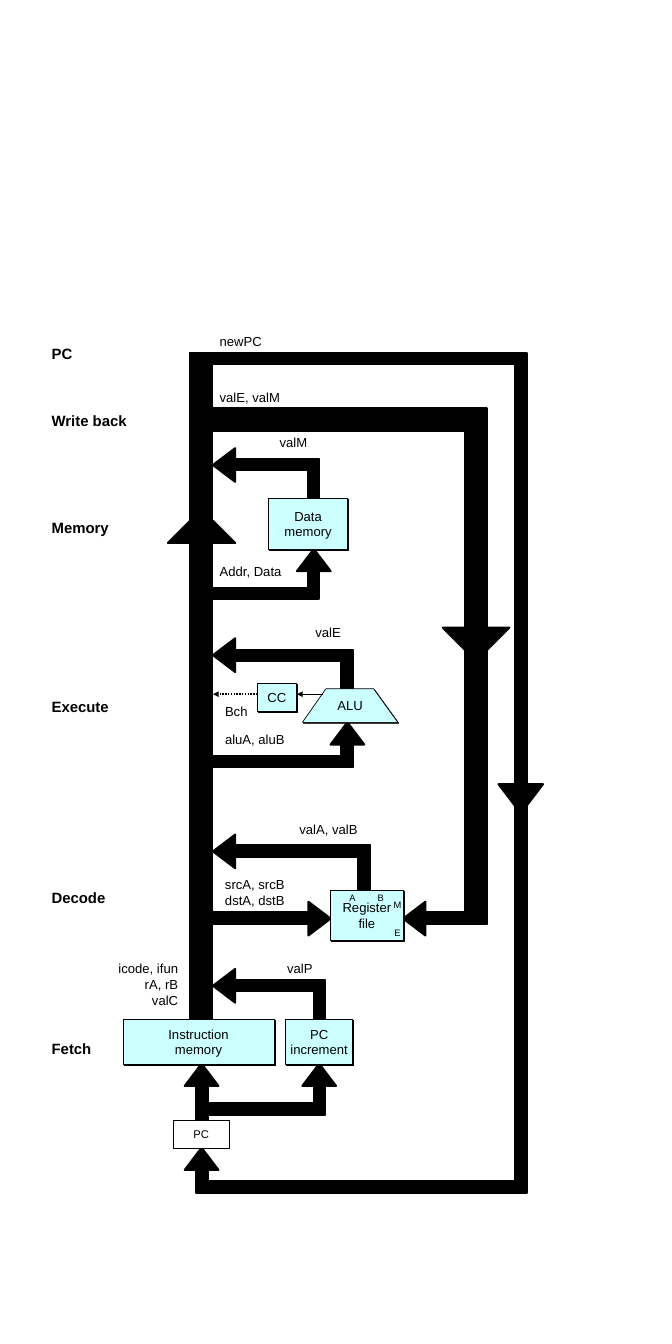
from lxml import etree
from pptx import Presentation
from pptx import util as u
from pptx.dml.color import RGBColor
from pptx.enum import dml, shapes, text
from pptx.oxml.ns import qn

Inches = u.Inches
COLORS = {"black": "000000", "unit": "CCFFFF", "white": "FFFFFF"}
LEFT, CENTER, RIGHT = text.PP_ALIGN.LEFT, text.PP_ALIGN.CENTER, text.PP_ALIGN.RIGHT
HEAD, BUS, WIRE = 0.33, 0.33, 0.17

deck = Presentation()
deck.slide_width, deck.slide_height = Inches(10), Inches(20)
slide = deck.slides.add_slide(deck.slide_layouts[6])
canvas = slide.shapes


def paint(part, fill="black", width=2.25, shadow=False):
    part.shadow.inherit = False
    part.fill.solid()
    part.fill.fore_color.rgb = RGBColor.from_string(COLORS[fill])
    part.line.color.rgb = RGBColor.from_string(COLORS["black"])
    part.line.width = u.Pt(width)
    if shadow:
        effects = part._element.spPr.find(qn("a:effectLst"))
        drop = etree.SubElement(effects, qn("a:outerShdw"), dist="17961",
                                dir="2700000", algn="ctr", rotWithShape="0")
        etree.SubElement(drop, qn("a:srgbClr"), val=COLORS["black"])


def write(part, content, size=14, bold=False, align=LEFT, wrap=True,
          anchor=text.MSO_ANCHOR.TOP, grow=True):
    frame = part.text_frame
    frame.text = content
    frame.word_wrap = wrap
    frame.vertical_anchor = anchor
    if grow:
        frame.auto_size = text.MSO_AUTO_SIZE.SHAPE_TO_FIT_TEXT
    for line in frame.paragraphs:
        line.alignment = align
        line.font.name, line.font.size, line.font.bold = "Arial", u.Pt(size), bold
        line.font.color.rgb = RGBColor.from_string(COLORS["black"])


# Main bus and wires: left, top, width, height
wires = [
    (2.83, 5.25, BUS, 9.92),
    # Fetch
    (4.67, 14.58, WIRE, 0.58), (3.33, 14.58, 1.5, WIRE),
    (2.92, 16.17, WIRE, 0.5), (3.08, 16.42, 1.75, WIRE), (4.67, 16.17, WIRE, 0.42),
    # Decode
    (3.17, 13.58, 1.5, WIRE), (5.33, 12.58, WIRE, 0.67), (3.5, 12.58, 2, WIRE),
    # Execute
    (3.17, 11.25, 2.08, WIRE), (5.08, 11.08, WIRE, 0.33),
    (5.08, 9.67, WIRE, 0.58), (3.42, 9.67, 1.83, WIRE),
    # Memory
    (3.17, 8.75, 1.58, WIRE), (4.58, 8.5, WIRE, 0.33),
    (4.58, 6.83, WIRE, 0.58), (3.5, 6.83, 1.25, WIRE),
    # Write back
    (2.83, 6.08, 4.42, BUS), (6.92, 6.33, BUS, 7.42), (6.33, 13.58, 0.92, WIRE),
    # PC
    (2.83, 5.25, 5, WIRE), (7.67, 5.25, WIRE, 12.5),
    (3, 17.58, 4.83, WIRE), (2.92, 17.42, WIRE, 0.33),
]
for bounds in wires:
    paint(canvas.add_shape(shapes.MSO_SHAPE.RECTANGLE, *map(Inches, bounds)))

# Arrowheads: tip x, tip y, direction, half of the base
UP, DOWN, TO_LEFT, TO_RIGHT = (0, -1), (0, 1), (-1, 0), (1, 0)
arrowheads = [
    (3, 15.83, UP, 0.25), (4.75, 15.83, UP, 0.25), (3.17, 14.67, TO_LEFT, 0.25),
    (4.92, 13.67, TO_RIGHT, 0.25), (3.17, 12.67, TO_LEFT, 0.25),
    (5.17, 10.75, UP, 0.25), (3.17, 9.75, TO_LEFT, 0.25),
    (6, 13.67, TO_LEFT, 0.25), (3, 17.08, UP, 0.25),
    (4.67, 8.17, UP, 0.25), (3.17, 6.92, TO_LEFT, 0.25),
    (2.83, 7.75, UP, 0.33), (3.17, 7.75, UP, 0.33),
    (6.92, 9.67, DOWN, 0.33), (7.25, 9.67, DOWN, 0.33),
    (7.67, 12, DOWN, 0.25), (7.83, 12, DOWN, 0.25),
]
for x, y, (dx, dy), half in arrowheads:
    base_x, base_y = x - HEAD * dx, y - HEAD * dy
    head = canvas.build_freeform(Inches(x), Inches(y))
    head.add_line_segments([
        (Inches(base_x + side * half * dy), Inches(base_y + side * half * dx))
        for side in (1, -1)])
    paint(head.convert_to_shape())

# Hardware units
units = [
    ("Instruction\nmemory", 1.83, 15.17, 2.25, 0.67, "unit", 14),
    ("PC\nincrement", 4.25, 15.17, 1, 0.67, "unit", 14),
    ("CC", 3.83, 10.17, 0.58, 0.42, "unit", 14),
    ("Data\nmemory", 4, 7.42, 1.17, 0.75, "unit", 14),
    ("PC", 2.58, 16.67, 0.83, 0.42, "white", 12),
    ("Register\nfile", 4.92, 13.25, 1.08, 0.75, "unit", 14),
]
for name, *bounds, fill, size in units:
    unit = canvas.add_shape(shapes.MSO_SHAPE.RECTANGLE, *map(Inches, bounds))
    paint(unit, fill, 0.75, shadow=fill == "unit")
    write(unit, name, size, align=CENTER, wrap=False,
          anchor=text.MSO_ANCHOR.MIDDLE, grow=False)

register_file = [unit]
for port, x, y in [("A", 5.08, 13.23), ("B", 5.5, 13.23),
                   ("M", 5.75, 13.33), ("E", 5.75, 13.75)]:
    port_label = canvas.add_textbox(Inches(x), Inches(y), Inches(0.33), Inches(0.27))
    write(port_label, port, 10, align=CENTER)
    register_file.append(port_label)
canvas.add_group_shape(register_file)

alu_outline = canvas.build_freeform(Inches(4.5), Inches(10.75))
alu_outline.add_line_segments([(Inches(x), Inches(y)) for x, y in
                               [(5.92, 10.75), (5.56, 10.25), (4.85, 10.25)]])
alu = alu_outline.convert_to_shape()
paint(alu, "unit", 0.75, shadow=True)
write(alu, "ALU", align=CENTER, wrap=False, anchor=text.MSO_ANCHOR.MIDDLE, grow=False)

# Condition code signals
for start, end, width, dash in [(4.81, 4.42, 0.75, dml.MSO_LINE.SOLID),
                                (3.83, 3.17, 1.5, dml.MSO_LINE.ROUND_DOT)]:
    signal = canvas.add_connector(shapes.MSO_CONNECTOR.STRAIGHT, Inches(start),
                                  Inches(10.33), Inches(end), Inches(10.33))
    signal.line.color.rgb = RGBColor.from_string(COLORS["black"])
    signal.line.width = u.Pt(width)
    signal.line.dash_style = dash
    etree.SubElement(signal.line._get_or_add_ln(), qn("a:tailEnd"), type="triangle")
    etree.SubElement(signal._element.spPr, qn("a:effectLst"))

# Stage names
for stage, y, width in [("PC", 5.08, 0.51), ("Write back", 6.08, 1.32),
                        ("Memory", 7.67, 1.05), ("Execute", 10.33, 1.05),
                        ("Decode", 13.17, 1), ("Fetch", 15.42, 0.79)]:
    stage_label = canvas.add_textbox(Inches(0.67), Inches(y), Inches(width), Inches(0.37))
    write(stage_label, stage, 16, bold=True, wrap=False)

# Signal names: left, top, width, alignment
signals = [
    ("newPC", 3.17, 4.92, 2.92, LEFT),
    ("valE, valM", 3.17, 5.75, 2.92, LEFT),
    ("valM", 3.42, 6.42, 1.25, RIGHT),
    ("Addr, Data", 3.17, 8.33, 1.25, LEFT),
    ("valE", 3.92, 9.25, 1.25, RIGHT),
    ("Bch", 3.25, 10.42, 1.25, LEFT),
    ("aluA, aluB", 3.25, 10.83, 1.25, LEFT),
    ("valA, valB", 4.17, 12.17, 1.25, RIGHT),
    ("srcA, srcB\ndstA, dstB", 3.25, 13, 1.17, LEFT),
    ("valP", 3.5, 14.25, 1.25, RIGHT),
    ("icode, ifun\nrA, rB\nvalC", 1.58, 14.25, 1.17, RIGHT),
]
for name, x, y, width, align in signals:
    height = 0.34 + 0.23 * name.count("\n")
    signal_label = canvas.add_textbox(Inches(x), Inches(y), Inches(width), Inches(height))
    write(signal_label, name, align=align)

deck.save("out.pptx")
